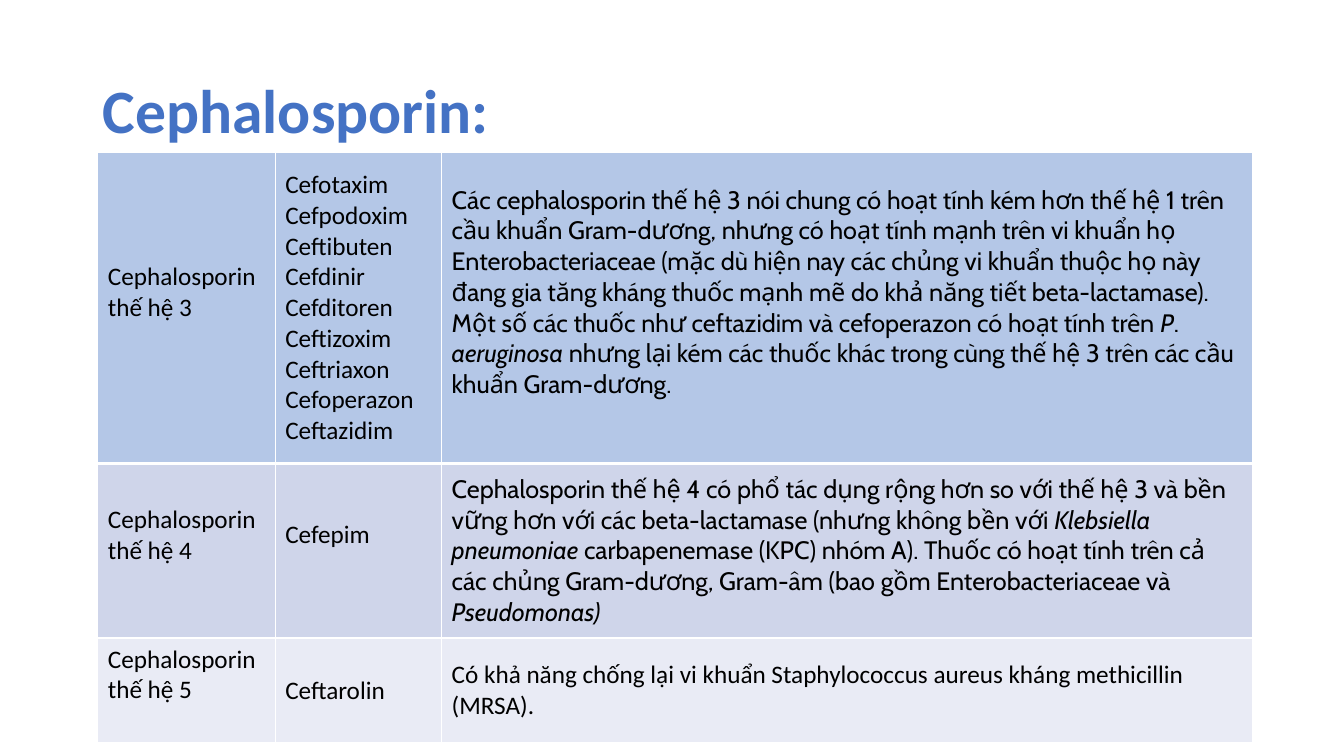
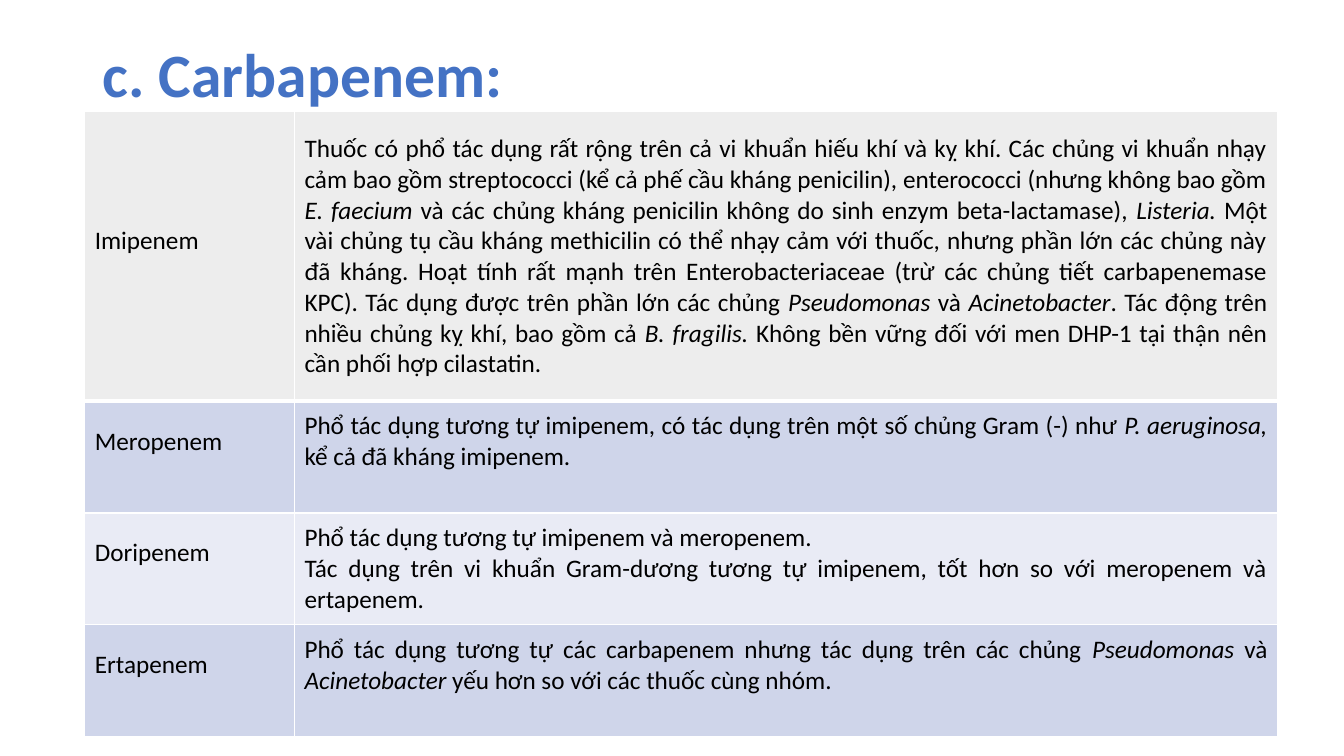
from lxml.etree import SubElement
from pptx import Presentation
from pptx.dml.color import RGBColor
from pptx.enum.text import MSO_ANCHOR as Anchor, MSO_AUTO_SIZE as AutoSize, PP_ALIGN as Align
from pptx.oxml.ns import qn
from pptx.util import Pt

PX = 9144  # 100 px to the inch
COLORS = {"title": "4472C4", "text": "000000", "line": "FFFFFF", "blue": "B4C7E7",
          "gray": "EDEDED", "band1": "CFD5EA", "band2": "E9EBF5"}
MARGIN, TEXT_LINE = 5, 31  # cell margin and height of one text line

# Content: *...* is italic, a line break starts a new paragraph.
# "raised" lists the (row, column) cells whose text sits half a line higher.
SLIDES = [
    {
        "title": "Cephalosporin:", "title_top": 40,
        "at": (97, 151), "cols": (176, 165, 804), "rows": (309, 173, 104),
        "fills": ("blue", "band1", "band2"), "align": Align.LEFT,
        "raised": {(0, 0), (0, 2), (1, 0), (1, 1), (2, 0)},
        "fonts": {(0, 2): "Cabin", (1, 2): "Cabin"},
        "cells": [
            ("Cephalosporin thế hệ 3",
             "Cefotaxim\nCefpodoxim\nCeftibuten\nCefdinir\nCefditoren\nCeftizoxim\n"
             "Ceftriaxon\nCefoperazon\nCeftazidim",
             "Các cephalosporin thế hệ 3 nói chung có hoạt tính kém hơn thế hệ 1 trên cầu khuẩn "
             "Gram-dương, nhưng có hoạt tính mạnh trên vi khuẩn họ Enterobacteriaceae (mặc dù "
             "hiện nay các chủng vi khuẩn thuộc họ này đang gia tăng kháng thuốc mạnh mẽ do khả "
             "năng tiết beta-lactamase). Một số các thuốc như ceftazidim và cefoperazon có hoạt "
             "tính trên *P*. *aeruginosa* nhưng lại kém các thuốc khác trong cùng thế hệ 3 trên "
             "các cầu khuẩn Gram-dương."),
            ("Cephalosporin thế hệ 4",
             "Cefepim",
             "Cephalosporin thế hệ 4 có phổ tác dụng rộng hơn so với thế hệ 3 và bền vững hơn với "
             "các beta-lactamase (nhưng không bền với *Klebsiella pneumoniae* carbapenemase (KPC) "
             "nhóm A). Thuốc có hoạt tính trên cả các chủng Gram-dương, Gram-âm (bao gồm "
             "Enterobacteriaceae và *Pseudomonas)*"),
            ("Cephalosporin thế hệ 5",
             "Ceftarolin",
             "Có khả năng chống lại vi khuẩn Staphylococcus aureus kháng methicillin (MRSA)."),
        ],
    },
    {
        "title": "c. Carbapenem:", "title_top": 4,
        "at": (84, 111), "cols": (208, 975), "rows": (287, 111, 111, 111),
        "fills": ("gray", "band1", "band2", "band1"), "align": Align.JUSTIFY,
        "raised": {(0, 0), (1, 0), (1, 1), (2, 0), (3, 0), (3, 1)},
        "fonts": {},
        "cells": [
            ("Imipenem",
             "Thuốc có phổ tác dụng rất rộng trên cả vi khuẩn hiếu khí và kỵ khí. Các chủng vi "
             "khuẩn nhạy cảm bao gồm streptococci (kể cả phế cầu kháng penicilin), enterococci "
             "(nhưng không bao gồm *E. faecium* và các chủng kháng penicilin không do sinh enzym "
             "beta-lactamase), *Listeria.* Một vài chủng tụ cầu kháng methicilin có thể nhạy cảm "
             "với thuốc, nhưng phần lớn các chủng này đã kháng. Hoạt tính rất mạnh trên "
             "Enterobacteriaceae (trừ các chủng tiết carbapenemase KPC). Tác dụng được trên phần "
             "lớn các chủng *Pseudomonas* và *Acinetobacter*. Tác động trên nhiều chủng kỵ khí, "
             "bao gồm cả *B. fragilis.* Không bền vững đối với men DHP-1 tại thận nên cần phối "
             "hợp cilastatin."),
            ("Meropenem",
             "Phổ tác dụng tương tự imipenem, có tác dụng trên một số chủng Gram (-) như "
             "*P. aeruginosa,* kể cả đã kháng imipenem."),
            ("Doripenem",
             "Phổ tác dụng tương tự imipenem và meropenem.\n"
             "Tác dụng trên vi khuẩn Gram-dương tương tự imipenem, tốt hơn so với meropenem và "
             "ertapenem."),
            ("Ertapenem",
             "Phổ tác dụng tương tự các carbapenem nhưng tác dụng trên các chủng *Pseudomonas* và "
             "*Acinetobacter* yếu hơn so với các thuốc cùng nhóm."),
        ],
    },
]


def rgb(name):
    return RGBColor.from_string(COLORS[name])


def write(tf, text, size=18, font="Calibri", color="text", bold=False,
          align=Align.LEFT, spacing=1.0):
    for i, line in enumerate(text.split("\n")):
        p = tf.add_paragraph() if i else tf.paragraphs[0]
        p.alignment, p.line_spacing = align, spacing
        for j, part in enumerate(line.split("*")):
            if part:
                r = p.add_run()
                r.text = part
                r.font.size, r.font.name = Pt(size), font
                r.font.bold, r.font.italic = bold, j % 2 == 1
                r.font.color.rgb = rgb(color)


def add_borders(cell, **widths):
    tcPr = cell._tc.get_or_add_tcPr()
    for side in "LRTB":
        ln = SubElement(tcPr, qn("a:ln" + side), w=str(Pt(widths.get(side, 1))))
        fill = SubElement(ln, qn("a:solidFill"))
        SubElement(fill, qn("a:srgbClr"), val=COLORS["line"])


def add_title(s, text, top):
    sp = s.shapes.title
    sp.left, sp.top, sp.width, sp.height = 92 * PX, top * PX, 1150 * PX, 145 * PX
    tf = sp.text_frame
    tf.auto_size, tf.vertical_anchor, tf.word_wrap = AutoSize.NONE, Anchor.MIDDLE, True
    write(tf, text, size=44, color="title", bold=True, spacing=0.9)


def add_grid(s, data):
    cols, rows = data["cols"], data["rows"]
    left, top = data["at"]
    table = s.shapes.add_table(len(rows), len(cols), left * PX, top * PX,
                               sum(cols) * PX, sum(rows) * PX).table
    table.first_row = table.horz_banding = False
    for column, width in zip(table.columns, cols):
        column.width = width * PX
    for i, height in enumerate(rows):
        table.rows[i].height = height * PX
        for j, text in enumerate(data["cells"][i]):
            cell = table.cell(i, j)
            # Thick rule below the first row
            add_borders(cell, T=3 if i == 1 else 1, B=3 if i == 0 else 1)
            cell.fill.solid()
            cell.fill.fore_color.rgb = rgb(data["fills"][i])
            cell.vertical_anchor = Anchor.MIDDLE
            cell.margin_bottom = (MARGIN + TEXT_LINE * ((i, j) in data["raised"])) * PX
            write(cell.text_frame, text, align=data["align"],
                  font=data["fonts"].get((i, j), "Calibri"))


def main():
    prs = Presentation()
    prs.slide_width, prs.slide_height = 1333 * PX, 750 * PX
    for data in SLIDES:
        s = prs.slides.add_slide(prs.slide_layouts[5])
        add_title(s, data["title"], data["title_top"])
        add_grid(s, data)
    prs.save("out.pptx")


if __name__ == "__main__":
    main()
